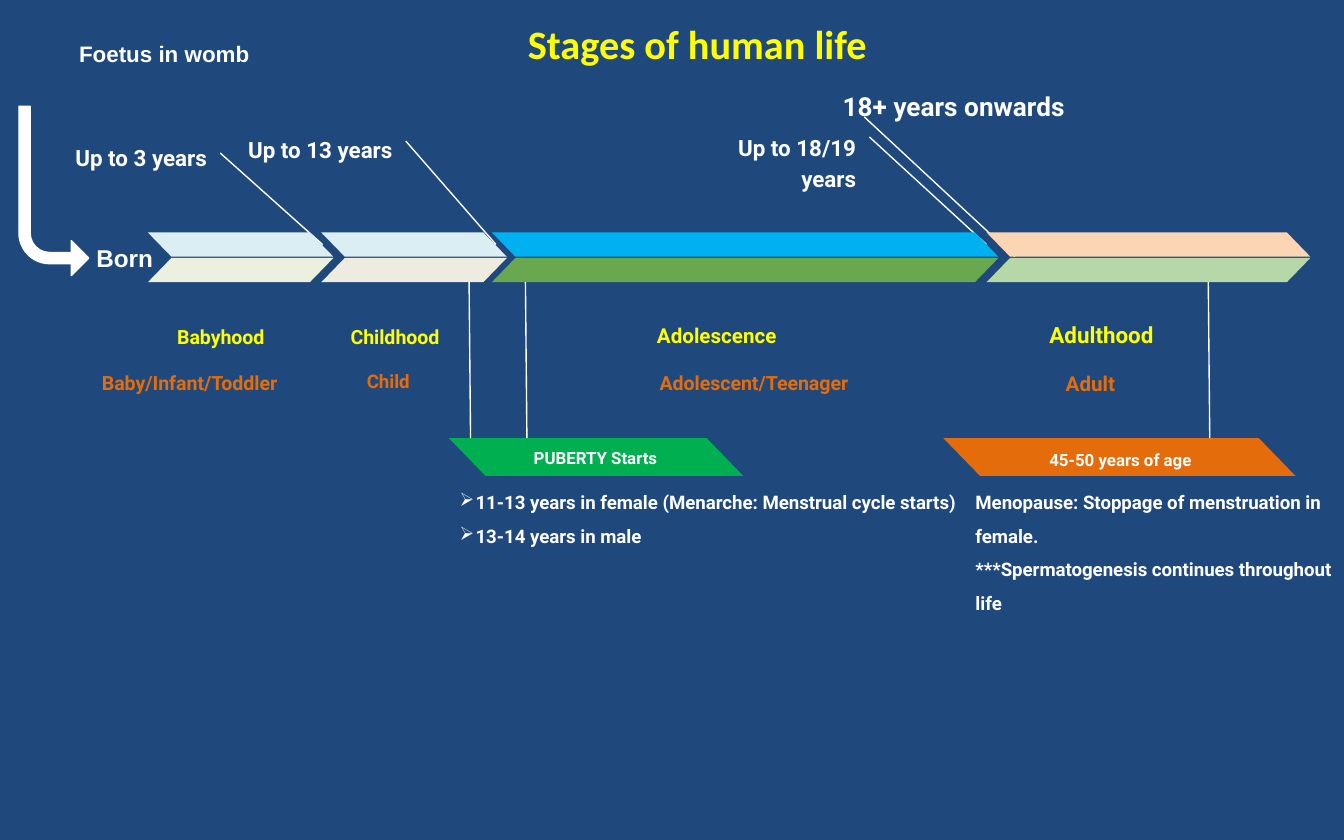
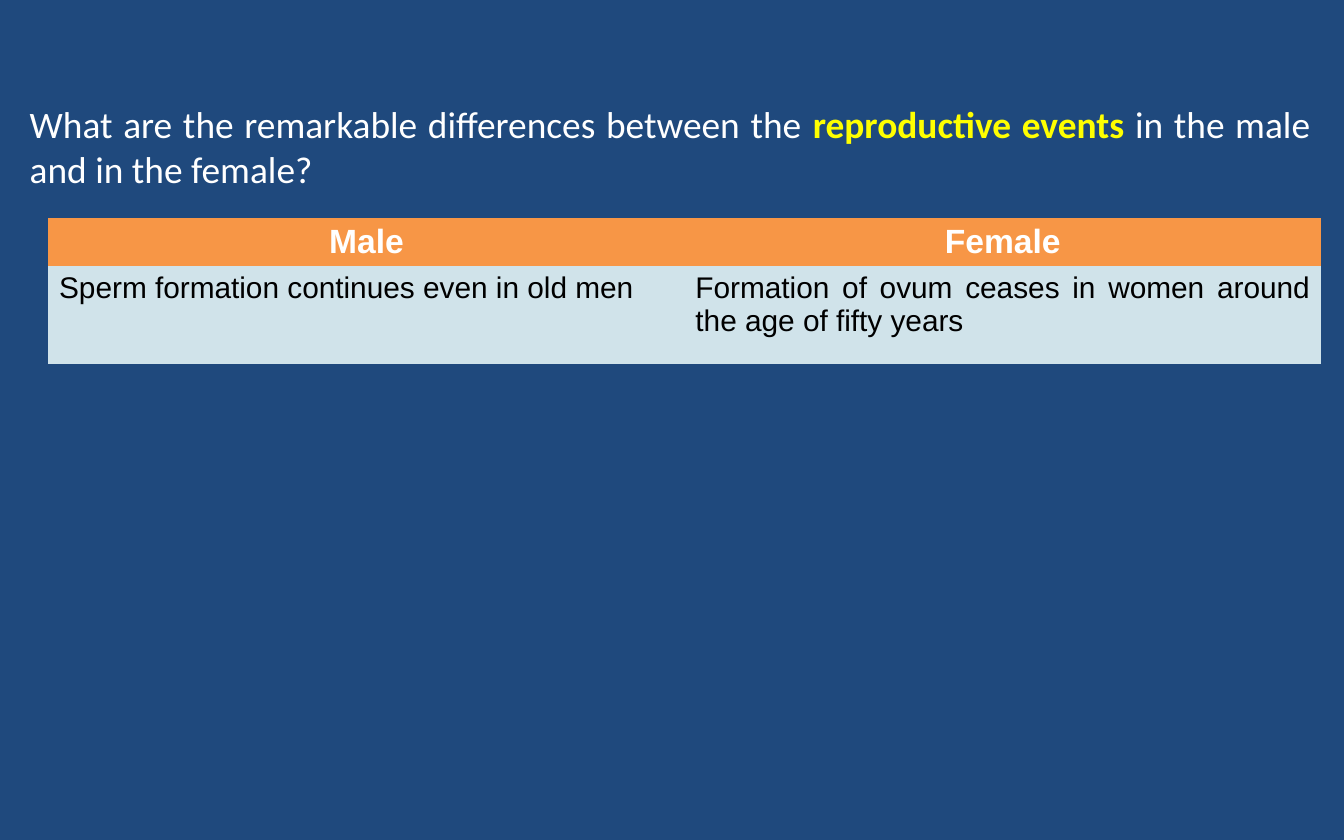
from lxml import etree
from pptx import Presentation
from pptx.dml.color import RGBColor
from pptx.enum.shapes import MSO_CONNECTOR as Connector, MSO_SHAPE as Shape
from pptx.enum.text import MSO_ANCHOR as Anchor, MSO_AUTO_SIZE as AutoSize, PP_ALIGN as Align
from pptx.oxml.ns import qn
from pptx.util import Pt

NAVY, WHITE, BLACK = "1F497D", "FFFFFF", "000000"
YELLOW, ORANGE, GREEN = "FFFF00", "E46C0A", "00B050"
HEADER_FILL, BODY_FILL = "F79646", "D0E3EA"
LABEL_FONT, TITLE_FONT, PLAIN_FONT = "Roboto", "Calibri", "Arial"
NO_TABLE_STYLE = "{2D5ABB26-0587-4C30-8999-92F81FD0307C}"

BAND_TOPS, BAND_HEIGHT = (124.5, 138.2), 13
CALLOUT_TOP, CALLOUT_HEIGHT = 234.7, 20.2
BANDS_BOTTOM = 151.2

# Boxes are (left, top, width, height); pointers are (x1, y1, x2, y2)
STAGES = [
    dict(name="Babyhood", name_box=(87.8, 153.4, 82, 40.3), name_size=10.5,
         person="Baby/Infant/Toddler", person_box=(47.5, 189.4, 123, 67), person_size=10.5,
         age="Up to 3 years", age_box=(28, 67.7, 90, 28.8), age_size=12,
         pointer=(118, 82, 172.8, 131), band=(79.2, 99.4), colors=("DBEEF4", "EBF1DE")),
    dict(name="Childhood", name_box=(180.7, 153.4, 82, 40.3), name_size=10.5,
         person="Child", person_box=(189.4, 189.4, 39.6, 20.2), person_size=10,
         age="Up to 13 years", age_box=(118, 63.4, 99.4, 24.5), age_size=12,
         pointer=(217.4, 75.6, 265.7, 131), band=(172.1, 99.4), colors=("DBEEF4", "EEECE1")),
    dict(name="Adolescence", name_box=(344.9, 153.4, 127.4, 40.3), name_size=11,
         person="Adolescent/Teenager", person_box=(346.3, 189.4, 127.4, 67), person_size=10.5,
         age="Up to 18/19 years", age_box=(360, 62.6, 105.8, 20.9), age_size=12,
         pointer=(465.8, 73.4, 528.5, 131), band=(263.5, 271.4), colors=("00B0F0", "6AA84F")),
    dict(name="Adulthood", name_box=(555.1, 153.4, 141.8, 40.3), name_size=12,
         person="Adult", person_box=(563.8, 189.4, 135.4, 67), person_size=11,
         age="18+ years onwards", age_box=(442.1, 38.9, 135.4, 21.6), age_size=14,
         pointer=(463, 62.6, 543.6, 137.5), band=(528.5, 173.5), colors=("FCD5B5", "B6D7A8")),
]


def rgb(color):
    return RGBColor.from_string(color)


def points(box):
    return [Pt(length) for length in box]


def set_font(font, name, size, color, bold=False):
    font.name, font.size, font.bold = name, Pt(size), bold
    font.color.rgb = rgb(color)


def set_margins(target, horizontal, vertical):
    target.margin_left = target.margin_right = Pt(horizontal)
    target.margin_top = target.margin_bottom = Pt(vertical)


class Deck:
    def __init__(self, width, height):
        self.presentation = Presentation()
        self.presentation.slide_width = Pt(width)
        self.presentation.slide_height = Pt(height)
        fill = self.presentation.slide_master.background.fill
        fill.solid()
        fill.fore_color.rgb = rgb(NAVY)
        self.slide = None

    def add_slide(self):
        layout = self.presentation.slide_layouts.get_by_name("Title Only")
        self.slide = self.presentation.slides.add_slide(layout)

    def title(self, box, parts, size, color, bold=False, align=Align.CENTER):
        """Parts are (text, highlighted) pairs."""
        shape = self.slide.shapes.title
        shape.left, shape.top, shape.width, shape.height = points(box)
        frame = shape.text_frame
        frame.auto_size, frame.vertical_anchor = AutoSize.NONE, Anchor.MIDDLE
        set_margins(frame, 5.8, 2.9)
        paragraph = frame.paragraphs[0]
        paragraph.alignment = align
        set_font(paragraph.font, TITLE_FONT, size, color, bold)
        for text, highlighted in parts:
            run = paragraph.add_run()
            run.text = text
            if highlighted:
                run.font.bold = True
                run.font.color.rgb = rgb(YELLOW)

    def text(self, box, lines, size, color=WHITE, font=LABEL_FONT, align=Align.LEFT,
             anchor=Anchor.TOP, spacing=1.15, bullet=None):
        frame = self.slide.shapes.add_textbox(*points(box)).text_frame
        frame.word_wrap, frame.vertical_anchor = True, anchor
        set_margins(frame, 7.2, 7.2)
        for index, line in enumerate(lines):
            paragraph = frame.add_paragraph() if index else frame.paragraphs[0]
            paragraph.text = line
            paragraph.alignment, paragraph.line_spacing = align, spacing
            if bullet:
                self.bullet(paragraph, bullet, color)
            set_font(paragraph.font, font, size, color, bold=True)

    def bullet(self, paragraph, character, color):
        properties = paragraph._p.get_or_add_pPr()
        properties.set("marL", str(Pt(13.7)))
        properties.set("indent", str(-Pt(8.6)))
        bullet_color = etree.SubElement(properties, qn("a:buClr"))
        etree.SubElement(bullet_color, qn("a:srgbClr"), val=color)
        etree.SubElement(properties, qn("a:buChar"), char=character)

    def shape(self, kind, box, fill, adjustments, flip=False, rotation=0, outline=None):
        shape = self.slide.shapes.add_shape(kind, *points(box))
        shape.shadow.inherit = False
        shape.fill.solid()
        shape.fill.fore_color.rgb = rgb(fill)
        if outline:
            shape.line.color.rgb = rgb(outline)
            shape.line.width = Pt(0.75)
        else:
            shape.line.fill.background()
        for index, value in enumerate(adjustments):
            shape.adjustments[index] = value
        shape.rotation = rotation
        if flip:
            shape._element.spPr.find(qn("a:xfrm")).set("flipH", "1")

    def slanted_bar(self, box, fill, flip=True):
        self.shape(Shape.PARALLELOGRAM, box, fill, [0.97], flip)

    def line(self, ends):
        connector = self.slide.shapes.add_connector(Connector.STRAIGHT, *points(ends))
        connector.line.color.rgb = rgb(WHITE)
        connector.line.width = Pt(0.75)
        etree.SubElement(connector._element.spPr, qn("a:effectLst"))

    def stage(self, stage):
        self.text(stage["age_box"], [stage["age"]], stage["age_size"], align=Align.RIGHT)
        self.text(stage["name_box"], [stage["name"]], stage["name_size"], YELLOW,
                  anchor=Anchor.BOTTOM)
        self.text(stage["person_box"], [stage["person"]], stage["person_size"], ORANGE)
        self.line(stage["pointer"])
        left, width = stage["band"]
        for top, color, flip in zip(BAND_TOPS, stage["colors"], (True, False)):
            self.slanted_bar((left, top, width, BAND_HEIGHT), color, flip)

    def callout(self, left, width, fill, label, label_box, stems):
        for x in stems:
            self.line((x, BANDS_BOTTOM, x + 0.8, CALLOUT_TOP))
        self.slanted_bar((left, CALLOUT_TOP, width, CALLOUT_HEIGHT), fill)
        self.text(label_box, [label], 9, align=Align.CENTER)

    def table(self, box, rows, row_heights):
        frame = self.slide.shapes.add_table(len(rows), len(rows[0]), *points(box))
        table = frame.table
        table._tbl.tblPr.find(qn("a:tableStyleId")).text = NO_TABLE_STYLE
        for row_index, (texts, height) in enumerate(zip(rows, row_heights)):
            table.rows[row_index].height = Pt(height)
            header = row_index == 0
            for column_index, text in enumerate(texts):
                cell = table.cell(row_index, column_index)
                cell.text = text
                set_margins(cell, 5.8, 2.9)
                cell.fill.solid()
                cell.fill.fore_color.rgb = rgb(HEADER_FILL if header else BODY_FILL)
                paragraph = cell.text_frame.paragraphs[0]
                paragraph.alignment = Align.CENTER if header else Align.JUSTIFY
                set_font(paragraph.font, PLAIN_FONT, 18 if header else 16,
                         WHITE if header else BLACK, header)


def add_timeline(deck):
    deck.add_slide()
    deck.title((145.4, 7.9, 456.5, 31), [("Stages of human life", False)], 21.6, YELLOW, True)

    # Timeline
    for stage in STAGES:
        deck.stage(stage)

    # Birth
    deck.text((35.3, 14.4, 120.2, 35.3), ["Foetus in womb"], 12, font=PLAIN_FONT, spacing=1)
    deck.text((44.6, 123.1, 46.1, 31.7), ["Born"], 13, font=PLAIN_FONT, spacing=1)
    deck.shape(Shape.BENT_ARROW, (10.1, 56.9, 37.4, 90.7), WHITE, [0.16, 0.25, 0.25, 0.44],
               flip=True, rotation=180, outline=WHITE)

    # Puberty
    deck.callout(240.5, 157.7, GREEN, "PUBERTY Starts", (266.4, 231.8, 105.1, 24.5),
                 stems=(251.3, 281.5))
    deck.text((234, 249.8, 311.8, 37.4),
              ["11-13 years in female (Menarche: Menstrual cycle starts)", "13-14 years in male"],
              10, spacing=1.5, bullet="➢")

    # Menopause
    deck.callout(505.4, 188.6, ORANGE, "45-50 years of age", (521.3, 233.3, 157.7, 23.8),
                 stems=(647.3,))
    deck.text((515.5, 249.8, 221, 66.2),
              ["Menopause: Stoppage of menstruation in female.",
               "***Spermatogenesis continues throughout life"], 10, spacing=1.5)


def add_comparison(deck):
    deck.add_slide()
    deck.title((10.1, 41, 697.7, 74.9),
               [("What are the remarkable differences between the ", False),
                ("reproductive events ", True),
                ("in the male and in the female?", False)],
               20, WHITE, align=Align.JUSTIFY)
    deck.table((25.9, 116.6, 681.8, 80.6),
               [("Male", "Female"),
                ("Sperm formation continues even in old men",
                 "Formation of ovum ceases in women around the age of fifty years")],
               (22.3, 52.6))


def main():
    deck = Deck(720, 450)
    add_timeline(deck)
    add_comparison(deck)
    deck.presentation.save("out.pptx")


if __name__ == "__main__":
    main()
